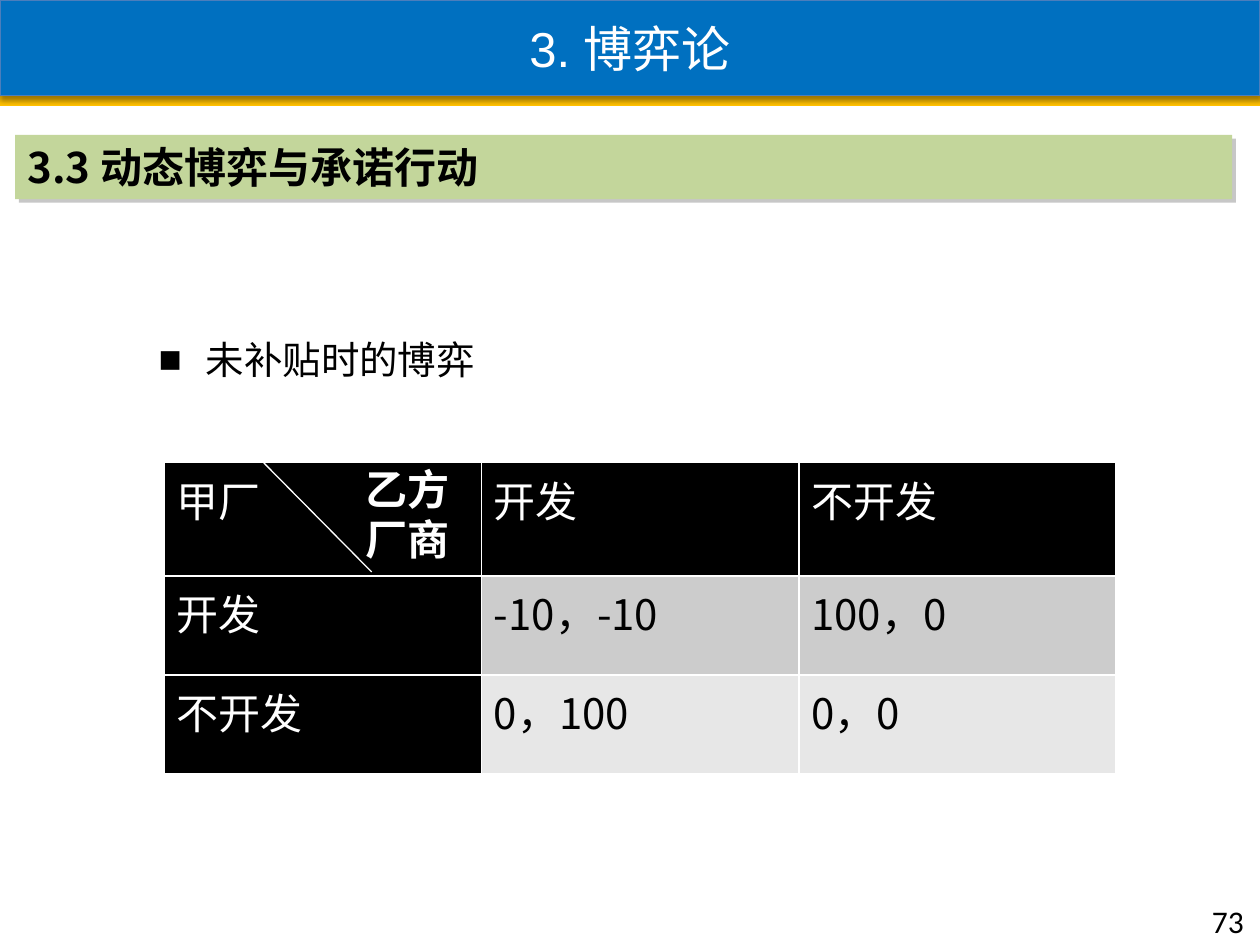
from pptx import Presentation
from pptx.dml.color import RGBColor
from pptx.enum.shapes import MSO_CONNECTOR, MSO_SHAPE
from pptx.enum.text import MSO_ANCHOR, PP_ALIGN
from pptx.oxml import parse_xml
from pptx.oxml.ns import nsdecls, qn
from pptx.util import Pt

# Content
TITLE = "3. 博弈论"
HEAD = "3.3 动态博弈与承诺行动"
POINT = "未补贴时的博弈"
RIVAL = "乙方厂商"
PAGE = "73"
GRID = [
    ["甲厂", "开发", "不开发"],
    ["开发", "-10，-10", "100，0"],
    ["不开发", "0，100", "0，0"],
]

THEME = {
    "blue": "0070C0", "edge": "4B7EBC", "gold": "FFC000", "green": "C3D69B",
    "black": "000000", "white": "FFFFFF", "bands": ["CCCCCC", "E7E7E7"],
    "cjk": "Noto Sans CJK SC", "latin": "Arial", "page": "Calibri",
    "title": 28, "body": 24, "point": 22, "num": 18,
}
WIDTH, HEIGHT = 720, 540
LEFT, TOP, COL = 93.6, 264.24, 181.44
ROWS = [64.8, 56.6, 56.6]


def rgb(name):
    return RGBColor.from_string(THEME.get(name, name))


def write(frame, text, size, face, color, bold=False):
    frame.text = text
    run = frame.paragraphs[0].runs[0]
    font = run.font
    font.size, font.name, font.bold = Pt(THEME[size]), THEME[face], bold
    font.color.rgb = rgb(color)
    east = parse_xml(f'<a:ea {nsdecls("a")} typeface="{THEME["cjk"]}"/>')
    font._element.find(qn("a:latin")).addnext(east)


def bar(slide, box, fill, line=None):
    shape = slide.shapes.add_shape(MSO_SHAPE.RECTANGLE, *map(Pt, box))
    shape.shadow.inherit = False
    shape.fill.solid()
    shape.fill.fore_color.rgb = rgb(fill)
    if line:
        shape.line.color.rgb = rgb(line)
        shape.line.width = Pt(0.75)
    else:
        shape.line.fill.background()
    return shape


def shade(shape, color, alpha, blur, dist, angle):
    effects = shape._element.spPr.find(qn("a:effectLst"))
    effects.append(parse_xml(
        f'<a:outerShdw {nsdecls("a")} blurRad="{Pt(blur)}" dist="{Pt(dist)}" '
        f'dir="{angle * 60000}" algn="tl" rotWithShape="0">'
        f'<a:srgbClr val="{color}"><a:alpha val="{alpha * 1000}"/></a:srgbClr>'
        '</a:outerShdw>'))


def label(slide, box, wrap, *style, **more):
    frame = slide.shapes.add_textbox(*map(Pt, box)).text_frame
    frame.word_wrap = wrap
    write(frame, *style, **more)
    return frame


def border(cell):
    props = cell._tc.get_or_add_tcPr()
    for i, side in enumerate(("lnL", "lnR", "lnT", "lnB")):
        props.insert(i, parse_xml(
            f'<a:{side} {nsdecls("a")} w="{Pt(1)}"><a:solidFill>'
            f'<a:srgbClr val="{THEME["white"]}"/></a:solidFill></a:{side}>'))


def payoffs(slide):
    size = map(Pt, (LEFT, TOP, COL * len(GRID[0]), sum(ROWS)))
    table = slide.shapes.add_table(len(GRID), len(GRID[0]), *size).table
    for col in table.columns:
        col.width = Pt(COL)
    for r, row in enumerate(GRID):
        table.rows[r].height = Pt(ROWS[r])
        for c, text in enumerate(row):
            cell = table.cell(r, c)
            dark = r == 0 or c == 0
            cell.fill.solid()
            cell.fill.fore_color.rgb = rgb("black" if dark else THEME["bands"][r - 1])
            border(cell)
            write(cell.text_frame, text, "body", "cjk", "white" if dark else "black")


def main():
    deck = Presentation()
    deck.slide_width, deck.slide_height = Pt(WIDTH), Pt(HEIGHT)
    slide = deck.slides.add_slide(deck.slide_layouts[6])

    # Gold rule and section heading
    bar(slide, (0, 54.72, WIDTH, 5.76), "gold")
    head = bar(slide, (8.64, 77.04, 695.52, 36.72), "green")
    shade(head, "808080", 43, 0, 3, 45)
    write(head.text_frame, HEAD, "body", "cjk", "black", bold=True)
    head.text_frame.paragraphs[0].alignment = PP_ALIGN.LEFT

    # Payoff table with a split corner cell
    payoffs(slide)
    ends = map(Pt, (150.48, TOP, 212.4, 326.88))
    slash = slide.shapes.add_connector(MSO_CONNECTOR.STRAIGHT, *ends)
    slash.line.color.rgb = rgb("white")
    slash.line.width = Pt(0.75)
    slash._element.spPr.append(parse_xml(f'<a:effectLst {nsdecls("a")}/>'))

    # Bulleted point
    frame = label(slide, (65.52, 188.64, 250.56, 33.84), True,
                  POINT, "point", "latin", "black")
    props = frame.paragraphs[0]._p.get_or_add_pPr()
    props.set("marL", str(Pt(45)))
    props.set("indent", str(Pt(-27)))
    props.append(parse_xml(f'<a:buFont {nsdecls("a")} typeface="Arial"/>'))
    props.append(parse_xml(f'<a:buChar {nsdecls("a")} char="■"/>'))

    # Column player and page number
    label(slide, (201.6, 261.36, 84.96, 65.52), True,
          RIVAL, "body", "cjk", "white", bold=True)
    label(slide, (685.44, 511.92, 33.84, 28.8), False, PAGE, "num", "page", "black")

    # Title band
    band = bar(slide, (0, 0, WIDTH, 54.72), "blue", "edge")
    shade(band, "000000", 38, 3.1, 1.6, 90)
    write(band.text_frame, TITLE, "title", "latin", "white")
    band.text_frame.vertical_anchor = MSO_ANCHOR.MIDDLE
    band.text_frame.paragraphs[0].alignment = PP_ALIGN.CENTER

    deck.save("out.pptx")


if __name__ == "__main__":
    main()
